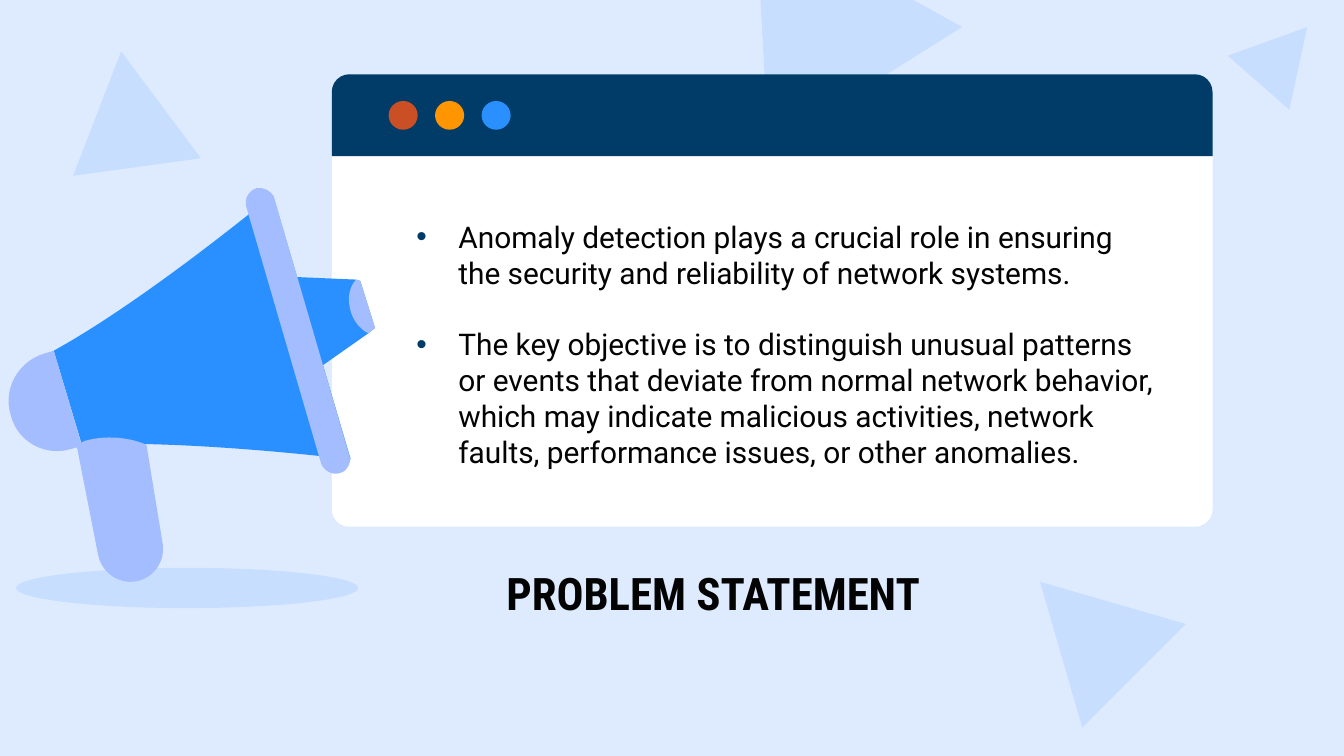
import pptx
import pptx.util
import pptx.oxml
import pptx.oxml.ns
import pptx.dml.color
import pptx.enum.shapes
import pptx.enum.text

Pt = pptx.util.Pt
RGB = pptx.dml.color.RGBColor.from_string
SHAPE = pptx.enum.shapes.MSO_SHAPE
ANCHOR = pptx.enum.text.MSO_ANCHOR

THEME = {
    "background": "DEEBFF", "pale": "C8DEFF", "white": "FFFFFF", "navy": "003C67",
    "blue": "2A90FF", "orange": "FF9500", "rust": "CA4F24", "lilac": "A3BDFF",
    "text": "030303", "title_size": 24, "body_size": 16,
}


def paint(shape, colour):
    """Give a shape a plain fill with no outline or shadow."""
    shape.shadow.inherit = False
    shape.fill.solid()
    shape.fill.fore_color.rgb = RGB(THEME[colour])
    shape.line.fill.background()
    return shape


def add_outline(shapes, colour, segments):
    """Draw a closed outline; two numbers are a line, six a Bézier curve."""
    start, *rest = segments
    builder = shapes.build_freeform(*(Pt(value) for value in start), scale=1.0)
    for segment in rest:
        pairs = zip(segment[::2], segment[1::2])
        builder.add_line_segments([(Pt(x), Pt(y)) for x, y in pairs], close=False)
    builder.add_line_segments([], close=True)
    shape = paint(builder.convert_to_shape(), colour)
    # Turn each run of three lines that stands for a curve into one curve
    lines = iter(list(shape._element.iter(pptx.oxml.ns.qn("a:lnTo"))))
    for segment in rest:
        parts = [next(lines) for _ in segment[::2]]
        if len(parts) == 3:
            curve = parts[0].makeelement(pptx.oxml.ns.qn("a:cubicBezTo"))
            parts[0].addprevious(curve)
            for part in parts:
                curve.append(part[0])
                part.getparent().remove(part)


presentation = pptx.Presentation()
presentation.slide_width, presentation.slide_height = Pt(720), Pt(405)
slide = presentation.slides.add_slide(presentation.slide_layouts[6])
slide.background.fill.solid()
slide.background.fill.fore_color.rgb = RGB(THEME["background"])

# Background triangles, the first one cut off by the top edge
add_outline(slide.shapes, "pale", [(407.4, 0), (489.4, 0), (515.5, 14.5), (411.8, 79.5)])
for *box, rotation in [
    (34.6, 27.2, 69.1, 62.6, 352.2),
    (665.3, 9.6, 43.9, 39.6, 41.2),
    (543.1, 301.2, 78.5, 71.3, 315),
]:
    triangle = slide.shapes.add_shape(SHAPE.ISOSCELES_TRIANGLE, *map(Pt, box))
    paint(triangle, "pale").rotation = rotation

# Browser window: body, title bar and three buttons
window = slide.shapes.add_group_shape().shapes
WINDOW_LEFT, WINDOW_WIDTH, CORNER = 177.8, 471.8, 9.4
for top, height, colour, rounded in [(83.5, 198.7, "white", 1), (39.8, 43.9, "navy", 0)]:
    box = (WINDOW_LEFT, top, WINDOW_WIDTH, height)
    panel = paint(window.add_shape(SHAPE.ROUND_2_SAME_RECTANGLE, *map(Pt, box)), colour)
    panel.adjustments[rounded] = CORNER / height
    panel.adjustments[1 - rounded] = 0
for index, colour in enumerate(["rust", "orange", "blue"]):
    box = (208.2 + 24.9 * index, 54.1, 15.6, 15.4)
    paint(window.add_shape(SHAPE.OVAL, *map(Pt, box)), colour)

# Title and bullet text
texts = [
    {
        "box": (264.2, 295.9, 343.4, 60.5),
        "frame": {"vertical_anchor": ANCHOR.TOP, "margin_bottom": Pt(7.2)},
        "font": {"name": "Roboto Condensed", "size": Pt(THEME["title_size"]), "bold": True},
        "paragraphs": ["PROBLEM STATEMENT"],
        "bullets": False,
    },
    {
        "box": (216, 144, 411.1, 110.2),
        "frame": {"vertical_anchor": ANCHOR.MIDDLE, "margin_bottom": Pt(36.8)},
        "font": {"name": "Roboto", "size": Pt(THEME["body_size"]), "bold": False},
        "paragraphs": [
            "Anomaly detection plays a crucial role in ensuring the security and "
            "reliability of network systems.",
            "The key objective is to distinguish unusual patterns or events that deviate "
            "from normal network behavior, which may indicate malicious activities, "
            "network faults, performance issues, or other anomalies.",
        ],
        "bullets": True,
    },
]
for text in texts:
    frame = slide.shapes.add_textbox(*map(Pt, text["box"])).text_frame
    frame_format = {"word_wrap": True, "margin_left": Pt(7.2), "margin_right": Pt(7.2),
                    "margin_top": Pt(7.2), **text["frame"]}
    for name, value in frame_format.items():
        setattr(frame, name, value)
    for index, wording in enumerate(text["paragraphs"]):
        paragraph = frame.add_paragraph() if index else frame.paragraphs[0]
        run = paragraph.add_run()
        run.text = wording
        for name, value in text["font"].items():
            setattr(run.font, name, value)
        run.font.color.rgb = RGB(THEME["text"])
        if index:
            paragraph.space_before = Pt(19.2)
        if text["bullets"]:
            properties = paragraph._p.get_or_add_pPr()
            properties.set("marL", str(Pt(22.5)))
            properties.set("indent", str(-Pt(22.5)))
            namespace = 'xmlns:a="http://schemas.openxmlformats.org/drawingml/2006/main"'
            for xml in (
                f'<a:buClr {namespace}><a:srgbClr val="{THEME["navy"]}"/></a:buClr>',
                f'<a:buFont {namespace} typeface="Arial"/>',
                f'<a:buChar {namespace} char="•"/>',
            ):
                properties.append(pptx.oxml.parse_xml(xml))

# Megaphone: shadow, mouthpiece and its end, horn, rim, back cap, handle
megaphone = slide.shapes.add_group_shape().shapes
paint(megaphone.add_shape(SHAPE.OVAL, *map(Pt, (8.5, 304.2, 183.4, 21.6))), "pale")
for colour, segments in [
    ("blue", [
        (156.2, 148.3), (170.6, 197.3), (197.3, 178.6), (200.9, 175.7),
        (193, 150.5), (190.8, 149.8)]),
    ("lilac", [
        (190.8, 149.8), (187.2, 153.4, 185.8, 159.8, 187.9, 167),
        (189.4, 172.1, 193, 176.4, 197.3, 178.6), (200.9, 175.7), (193, 150.5)]),
    ("blue", [
        (146.2, 104.4), (146.2, 104.4, 78.5, 160.6, 28.8, 187.9), (43.9, 238.3),
        (100.8, 235.4, 187.9, 246.2, 187.9, 246.2)]),
    ("lilac", [
        (137.5, 100.8), (133.2, 102.2, 131, 106.6, 131.8, 110.2), (172.1, 248.4),
        (173.5, 252, 177.8, 254.9, 182.2, 253.4),
        (185.8, 252.7, 188.6, 247.7, 187.2, 244.1), (146.9, 105.8),
        (145.4, 102.2, 141.1, 100.1, 137.5, 100.8)]),
    ("lilac", [
        (23.8, 189.4), (9.4, 193.7, 1.4, 208.8, 5.8, 222.5),
        (9.4, 236.9, 24.5, 244.8, 38.2, 240.5), (43.9, 239), (28.8, 187.9)]),
    ("lilac", [
        (45.4, 236.2), (43.9, 236.9, 42.5, 237.6, 41, 238.3), (52.6, 297.4),
        (54.7, 307.4, 64.8, 313.9, 74.9, 311),
        (83.5, 308.2, 88.6, 300.2, 87.1, 290.9), (78.5, 238.3),
        (78.5, 238.3, 64.1, 231.1, 45.4, 236.2)]),
]:
    add_outline(megaphone, colour, segments)

presentation.save("out.pptx")
